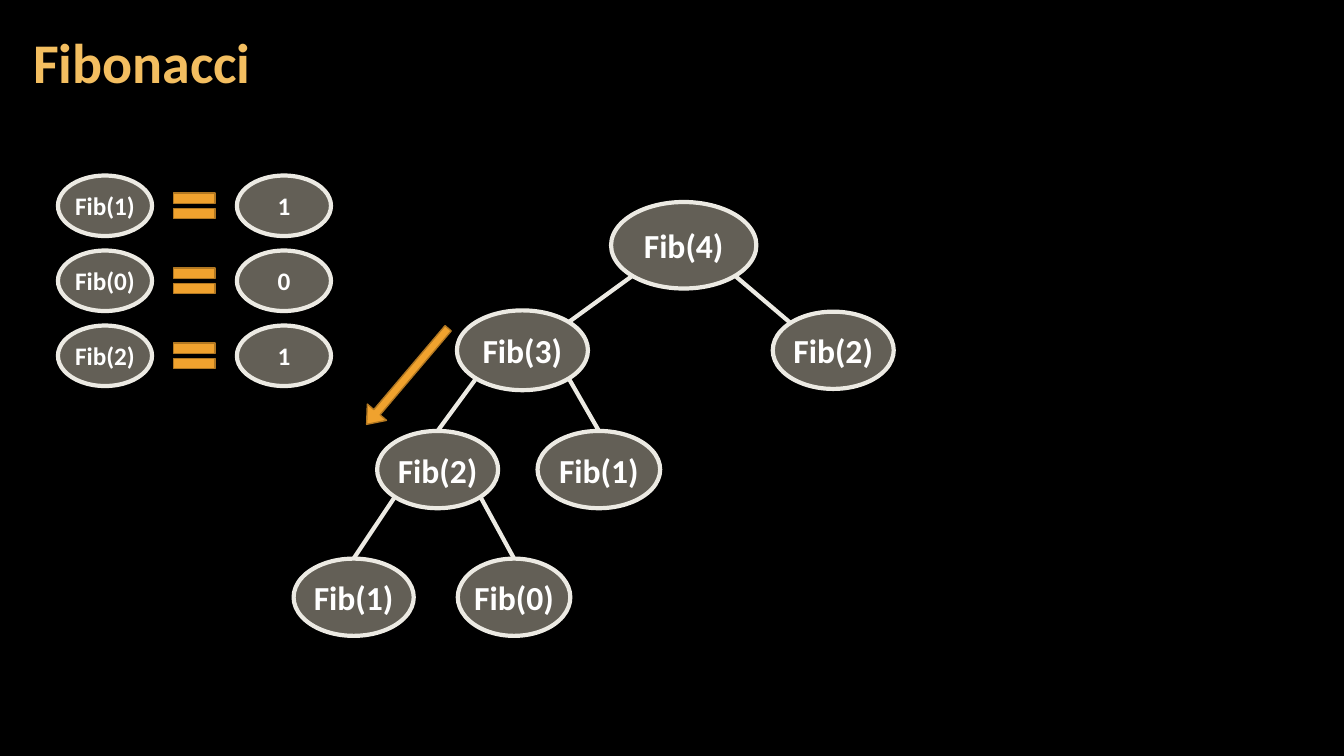
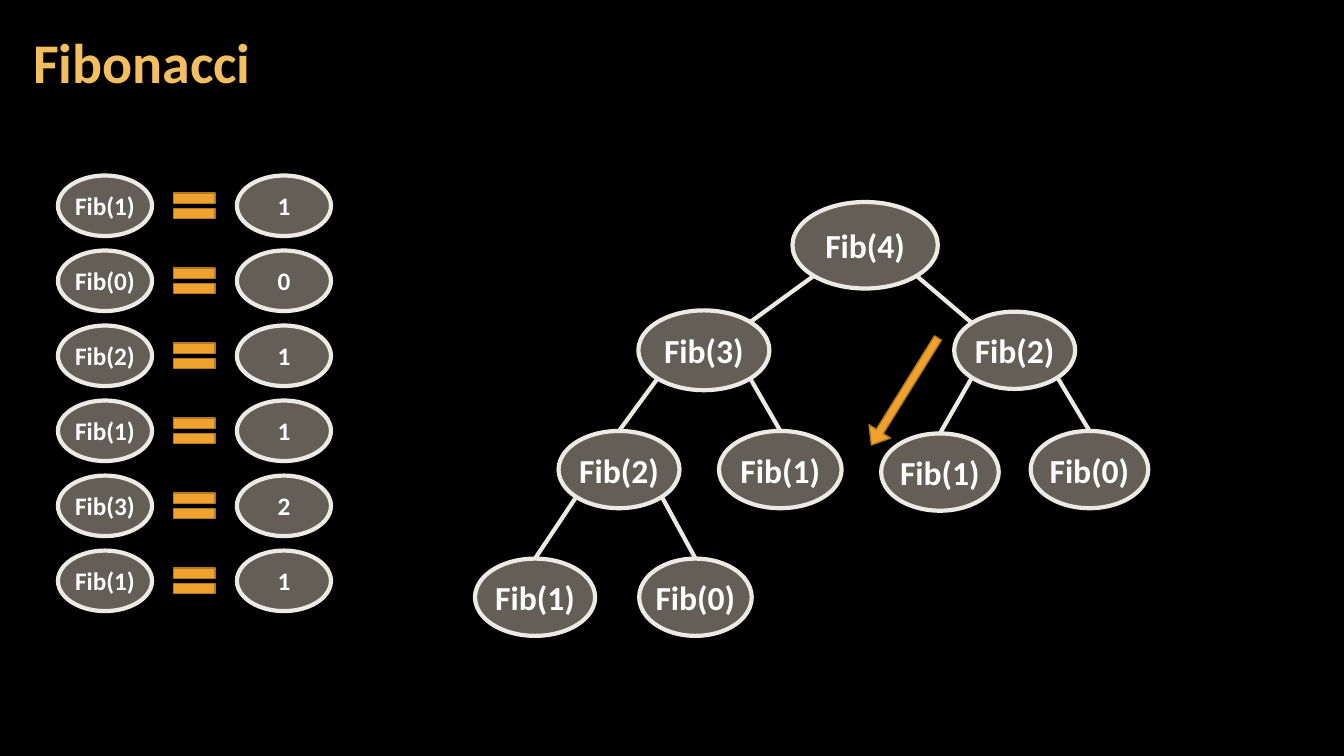
from dataclasses import dataclass

from pptx import Presentation
from pptx import util as u
from pptx.dml.color import RGBColor
from pptx.enum import shapes, text
from pptx.oxml.ns import qn
from lxml import etree

WIDTH, HEIGHT = u.Inches(13.333), u.Inches(7.5)
COL, ROW = WIDTH / 160, HEIGHT / 90
FONT = "Calibri"
COLORS = {
    "background": "000000",
    "title": "F3BE60",
    "label": "FFFFFF",
    "node": "C7BFAC",
    "outline": "ECEAE3",
    "accent": "F0A22E",
    "accent_edge": "B27822",
}
LEVEL_ROWS = (29.2, 41.7, 55.9, 71.1)
LEDGER_COLS = (12.5, 23.15, 33.8)
LEDGER_TOP, LEDGER_STEP = 24.5, 8.93
CORNER = 0.5 ** 0.5 / 2


@dataclass
class Call:
    label: str
    offset: float
    width: float
    height: float = 9.2
    drop: float = 0
    calls: tuple = ()


def color(name):
    return RGBColor.from_string(COLORS[name])


def write(frame, content, *, size, tint="label", align=text.PP_ALIGN.CENTER,
          side=0, spacing=1.0, wrap=False):
    frame.word_wrap = wrap
    frame.vertical_anchor = text.MSO_ANCHOR.MIDDLE
    frame.margin_left = frame.margin_right = u.Inches(side)
    frame.margin_top = frame.margin_bottom = u.Inches(0.04)
    paragraph = frame.paragraphs[0]
    paragraph.alignment = align
    paragraph.line_spacing = spacing
    run = paragraph.add_run()
    run.text = content
    run.font.name = FONT
    run.font.size = u.Pt(size)
    run.font.bold = True
    run.font.color.rgb = color(tint)


def add_figure(slide, kind, col, row, width, height, fill, line, weight):
    figure = slide.shapes.add_shape(
        kind, round((col - width / 2) * COL), round((row - height / 2) * ROW),
        round(width * COL), round(height * ROW))
    figure.shadow.inherit = False
    figure.fill.solid()
    figure.fill.fore_color.rgb = color(fill)
    figure.line.color.rgb = color(line)
    figure.line.width = u.Pt(weight)
    return figure


def add_node(slide, label, col, row, width, height, size):
    node = add_figure(slide, shapes.MSO_SHAPE.OVAL, col, row, width, height,
                      "node", "outline", 3)
    tint = node._element.spPr.find(qn("a:solidFill")).find(qn("a:srgbClr"))
    etree.SubElement(tint, qn("a:alpha")).set("val", "50000")
    write(node.text_frame, label, size=size)


def add_accent(slide, kind, col, row, width, height):
    return add_figure(slide, kind, col, row, width, height,
                      "accent", "accent_edge", 1)


def add_arrow(slide, col, row, angle):
    arrow = add_accent(slide, shapes.MSO_SHAPE.RIGHT_ARROW, col, row, 15, 3)
    arrow.adjustments[0] = 0.32
    arrow.adjustments[1] = 0.63
    arrow.rotation = angle


def add_branch(slide, start, end):
    branch = slide.shapes.add_connector(
        shapes.MSO_CONNECTOR.STRAIGHT, round(start[0] * COL), round(start[1] * ROW),
        round(end[0] * COL), round(end[1] * ROW))
    branch.line.color.rgb = color("outline")
    branch.line.width = u.Pt(3)
    etree.SubElement(branch._element.spPr, qn("a:effectLst"))


def add_tree(slide, call, root_col, depth=0):
    col, row = root_col + call.offset, LEVEL_ROWS[depth] + call.drop
    add_node(slide, call.label, col, row, call.width, call.height, 24)
    for child in call.calls:
        side = 1 if child.offset > call.offset else -1
        start = (col + side * CORNER * call.width, row + CORNER * call.height)
        child_col = root_col + child.offset
        child_row = LEVEL_ROWS[depth + 1] + child.drop
        if depth == 0:
            end = (child_col - side * CORNER * child.width,
                   child_row - CORNER * child.height)
        else:
            end = (child_col, child_row - child.height / 2)
        add_branch(slide, start, end)
        add_tree(slide, child, root_col, depth + 1)


def add_ledger(slide, results):
    for index, (label, value) in enumerate(results):
        row = LEDGER_TOP + index * LEDGER_STEP
        label_col, equal_col, value_col = LEDGER_COLS
        add_node(slide, label, label_col, row, 11.2, 7.2, 18)
        add_accent(slide, shapes.MSO_SHAPE.MATH_EQUAL, equal_col, row, 6.7, 5.2)
        add_node(slide, value, value_col, row, 11.2, 7.2, 18)


def start_slide(deck, title):
    slide = deck.slides.add_slide(deck.slide_layouts[6])
    heading = slide.shapes.add_textbox(
        round(2.5 * COL), round(0.5 * ROW), round(125.6 * COL), round(14.5 * ROW))
    write(heading.text_frame, title, size=40, tint="title",
          align=text.PP_ALIGN.LEFT, side=0.12, spacing=0.9, wrap=True)
    return slide


def fib_4(right_calls=()):
    left = Call("Fib(3)", -19.2, 15.6, 9.5, calls=(
        Call("Fib(2)", -29.3, 14.4, calls=(
            Call("Fib(1)", -39.3, 14.3),
            Call("Fib(0)", -20.2, 13.4))),
        Call("Fib(1)", -10.1, 14.6)))
    right = Call("Fib(2)", 17.8, 14.4, calls=right_calls)
    return Call("Fib(4)", 0, 17.3, 10.3, calls=(left, right))


def main():
    deck = Presentation()
    deck.slide_width, deck.slide_height = WIDTH, HEIGHT
    backdrop = deck.slide_master.background.fill
    backdrop.solid()
    backdrop.fore_color.rgb = color("background")

    first_results = [("Fib(1)", "1"), ("Fib(0)", "0"), ("Fib(2)", "1")]
    later_results = [("Fib(1)", "1"), ("Fib(3)", "2"), ("Fib(1)", "1")]
    right_calls = (Call("Fib(1)", 8.9, 14, drop=0.3), Call("Fib(0)", 26.7, 14))
    steps = [
        (fib_4(), 81.4, first_results, (48.5, 44.8, 130.3)),
        (fib_4(right_calls), 103, first_results + later_results, (107.7, 46.6, 121.9)),
    ]
    for tree, root_col, results, arrow in steps:
        slide = start_slide(deck, "Fibonacci")
        add_tree(slide, tree, root_col)
        add_ledger(slide, results)
        add_arrow(slide, *arrow)
    deck.save("out.pptx")


if __name__ == "__main__":
    main()
